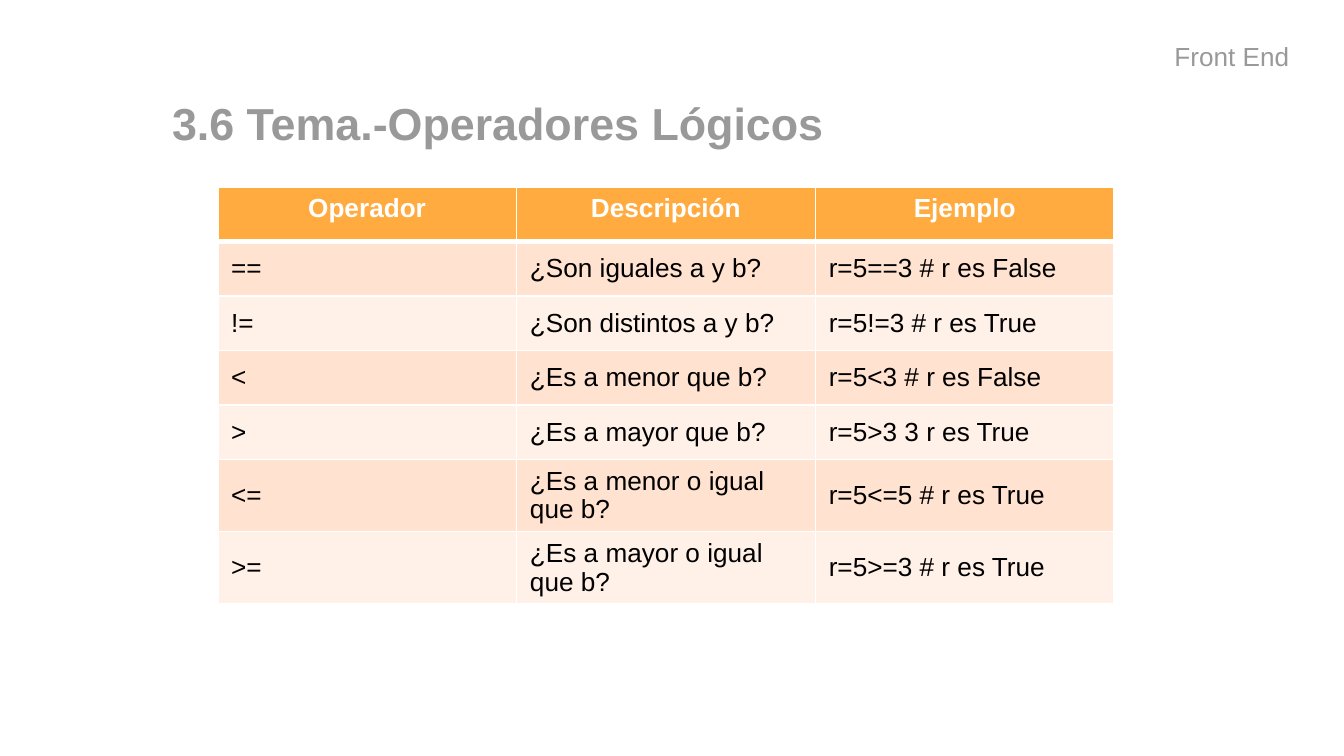
import dataclasses

import pptx
import pptx.dml.color
import pptx.enum.text
import pptx.oxml
import pptx.oxml.ns
import pptx.util

Inches = pptx.util.Inches
Align = pptx.enum.text.PP_ALIGN
Anchor = pptx.enum.text.MSO_ANCHOR


@dataclasses.dataclass(frozen=True)
class Theme:
    font: str = "Arial"
    gray: str = "999999"
    white: str = "FFFFFF"
    black: str = "000000"
    head: str = "FFAB40"
    bands: tuple = ("FFE2CF", "FFF1E8")
    large: int = 24
    small: int = 14
    thin: int = 1
    thick: int = 3


THEME = Theme()

ROWS = [
    ("Operador", "Descripción", "Ejemplo"),
    ("==", "¿Son iguales a y b?", "r=5==3 # r es False"),
    ("!=", "¿Son distintos a y b?", "r=5!=3 # r es True"),
    ("<", "¿Es a menor que b?", "r=5<3 # r es False"),
    (">", "¿Es a mayor que b?", "r=5>3 3 r es True"),
    ("<=", "¿Es a menor o igual que b?", "r=5<=5 # r es True"),
    (">=", "¿Es a mayor o igual que b?", "r=5>=3 # r es True"),
]


def color(code):
    return pptx.dml.color.RGBColor.from_string(code)


def add_run(para, text, size, code, bold=False):
    run = para.add_run()
    run.text = text
    run.font.name = THEME.font
    run.font.size = pptx.util.Pt(size)
    run.font.bold = bold
    run.font.color.rgb = color(code)


def set_pads(frame, pad):
    frame.margin_left = frame.margin_right = pad
    frame.margin_top = frame.margin_bottom = pad


def add_label(slide, box):
    frame = slide.shapes.add_textbox(*box).text_frame
    frame.word_wrap = False
    set_pads(frame, Inches(0.1))
    add_run(frame.paragraphs[0], "Front End", THEME.small, THEME.gray)


def add_title(slide, box):
    title = slide.shapes.title
    title.left, title.top, title.width, title.height = box
    frame = title.text_frame
    frame.word_wrap = True
    frame.auto_size = pptx.enum.text.MSO_AUTO_SIZE.NONE
    frame.vertical_anchor = Anchor.MIDDLE
    set_pads(frame, Inches(0.1))
    para = frame.paragraphs[0]
    para.alignment = Align.LEFT
    props = para._p.get_or_add_pPr()
    props.set("marL", str(Inches(0.15)))
    props.set("indent", "0")
    add_run(para, "3.6 Tema.-Operadores Lógicos", THEME.large, THEME.gray, True)


def add_edges(cell, top, base):
    props = cell._tc.get_or_add_tcPr()
    widths = {"L": THEME.thin, "R": THEME.thin, "T": top, "B": base}
    for side, width in widths.items():
        props.append(pptx.oxml.parse_xml(
            f'<a:ln{side} {pptx.oxml.ns.nsdecls("a")} w="{pptx.util.Pt(width)}">'
            f'<a:solidFill><a:srgbClr val="{THEME.white}"/></a:solidFill>'
            f'</a:ln{side}>'))


def fill_cell(cell, text, row):
    head = row == 0
    add_edges(cell, THEME.thick if row == 1 else THEME.thin,
              THEME.thick if head else THEME.thin)
    cell.fill.solid()
    cell.fill.fore_color.rgb = color(
        THEME.head if head else THEME.bands[(row - 1) % 2])
    cell.vertical_anchor = Anchor.TOP if head else Anchor.MIDDLE
    para = cell.text_frame.paragraphs[0]
    para.alignment = Align.CENTER if head else Align.LEFT
    if not head:
        para.line_spacing = 0.96
        cell.margin_bottom = Inches(0.04)
    add_run(para, text, THEME.small, THEME.white if head else THEME.black, head)


def add_grid(slide, box):
    table = slide.shapes.add_table(len(ROWS), len(ROWS[0]), *box).table
    for row, texts in enumerate(ROWS):
        for col, text in enumerate(texts):
            fill_cell(table.cell(row, col), text, row)


def main():
    deck = pptx.Presentation()
    deck.slide_width = Inches(10)
    deck.slide_height = deck.slide_width * 9 // 16
    slide = deck.slides.add_slide(deck.slide_layouts[5])
    add_label(slide, [Inches(n) for n in (8.64, 0.2, 1.06, 0.5)])
    add_title(slide, [Inches(n) for n in (1.03, 0.71, 8.31, 0.41)])
    add_grid(slide, [Inches(n) for n in (1.62, 1.39, 6.67, 2.84)])
    deck.save("out.pptx")


if __name__ == "__main__":
    main()
